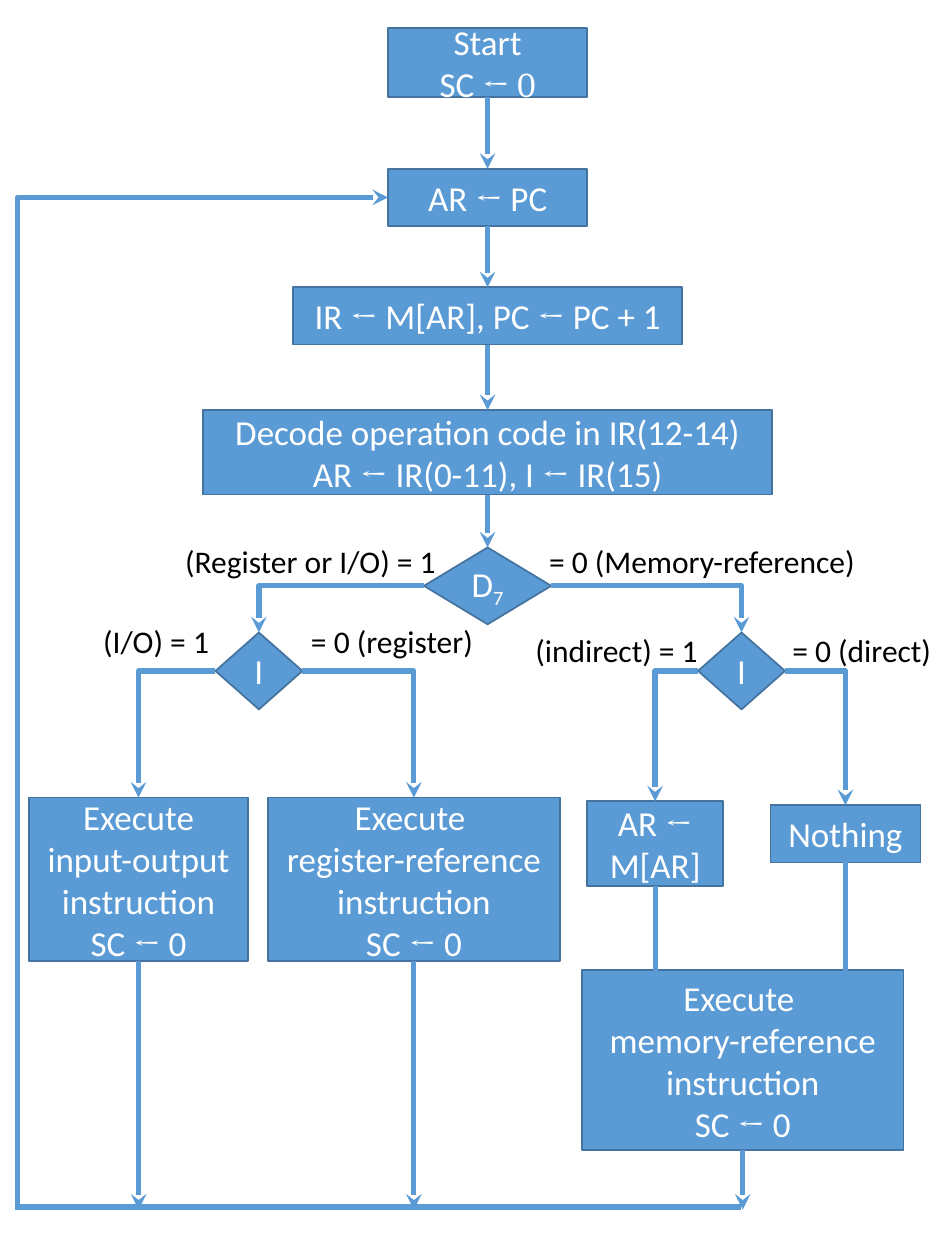
from typing import NamedTuple

from lxml import etree
from pptx import Presentation
from pptx.dml.color import RGBColor
from pptx.enum.shapes import MSO_CONNECTOR, MSO_SHAPE
from pptx.enum.text import MSO_ANCHOR, MSO_AUTO_SIZE, PP_ALIGN
from pptx.oxml.ns import qn
from pptx.util import Inches, Pt

RECTANGLE, DIAMOND = MSO_SHAPE.RECTANGLE, MSO_SHAPE.DIAMOND
STRAIGHT, ELBOW = MSO_CONNECTOR.STRAIGHT, MSO_CONNECTOR.ELBOW
CENTER, MIDDLE = PP_ALIGN.CENTER, MSO_ANCHOR.MIDDLE
FIT_SHAPE = MSO_AUTO_SIZE.SHAPE_TO_FIT_TEXT

BLUE = RGBColor(0x5B, 0x9B, 0xD5)
DARK_BLUE = RGBColor(0x43, 0x73, 0x9E)
WHITE = RGBColor(0xFF, 0xFF, 0xFF)
BLACK = RGBColor(0, 0, 0)
BODY_FONT, ARROW_FONT = "Calibri", "Cambria"

# Grid of 75 columns by 100 rows
SLIDE_WIDTH, SLIDE_HEIGHT = Inches(7.5), Inches(10)
COLUMN, ROW = SLIDE_WIDTH / 75, SLIDE_HEIGHT / 100

# Centre columns of the flow
MAIN, LEFT, RIGHT = 38.7, 20.55, 58.85
INPUT_OUTPUT, REGISTER, INDIRECT, DIRECT = 11, 32.85, 52, 67.1
LOOP_COLUMN, LOOP_ROW, ARROW_END_ROW = 1.4, 95.8, 96
LABEL_HEIGHT = 4


class Run(NamedTuple):
    text: str
    font: str = BODY_FONT
    subscript: bool = False


class Node(NamedTuple):
    center: float
    top: float
    width: float
    height: float
    paragraphs: list[list[Run]]
    kind: int = RECTANGLE

    @property
    def bottom(self) -> float:
        return self.top + self.height

    @property
    def middle(self) -> float:
        return self.top + self.height / 2

    @property
    def left(self) -> float:
        return self.center - self.width / 2

    @property
    def right(self) -> float:
        return self.center + self.width / 2


class Label(NamedTuple):
    left: float
    top: float
    width: float
    text: str


ARROW = Run("←", ARROW_FONT)
ARROW_SPACE = Run("← ", ARROW_FONT)
RESET = [Run("SC "), ARROW, Run(" 0")]


def add_runs(paragraph, runs: list[Run], size: int, color: RGBColor) -> None:
    for item in runs:
        run = paragraph.add_run()
        run.text = item.text
        run.font.name = item.font
        run.font.size = Pt(size)
        run.font.color.rgb = color
        if item.subscript:
            run.font._element.set("baseline", "-25000")


def draw_node(slide, node: Node) -> None:
    shape = slide.shapes.add_shape(
        node.kind, round(node.left * COLUMN), round(node.top * ROW),
        round(node.width * COLUMN), round(node.height * ROW))
    shape.shadow.inherit = False
    shape.fill.solid()
    shape.fill.fore_color.rgb = BLUE
    shape.line.color.rgb = DARK_BLUE
    shape.line.width = Pt(1)
    frame = shape.text_frame
    frame.word_wrap = True
    frame.vertical_anchor = MIDDLE
    for index, runs in enumerate(node.paragraphs):
        paragraph = frame.add_paragraph() if index else frame.paragraphs[0]
        paragraph.alignment = CENTER
        add_runs(paragraph, runs, 20, WHITE)


def draw_line(slide, x1: float, y1: float, x2: float, y2: float,
              kind: int = STRAIGHT, arrow: bool = True):
    connector = slide.shapes.add_connector(
        kind, round(x1 * COLUMN), round(y1 * ROW),
        round(x2 * COLUMN), round(y2 * ROW))
    connector.line.color.rgb = BLUE
    connector.line.width = Pt(3)
    properties = connector._element.spPr
    if kind == ELBOW:
        properties.find(qn("a:prstGeom")).set("prst", "bentConnector2")
    if arrow:
        line = properties.find(qn("a:ln"))
        etree.SubElement(line, qn("a:tailEnd")).set("type", "stealth")
    etree.SubElement(properties, qn("a:effectLst"))
    return connector


def draw_loop(slide, x1: float, y1: float, x2: float, y2: float) -> None:
    """Run up from the first point, then right to the second: a quarter turn."""
    x, y = (x1 + x2) / 2, (y1 + y2) / 2
    half_length, half_depth = (y1 - y2) / 2, (x2 - x1) / 2
    connector = draw_line(slide, x + half_length, y + half_depth,
                          x - half_length, y - half_depth, ELBOW)
    connector._element.spPr.find(qn("a:xfrm")).set("rot", "5400000")


def draw_branches(slide, decision: Node, left: Node, right: Node) -> None:
    for side, target in ((decision.left, left), (decision.right, right)):
        draw_line(slide, side, decision.middle, target.center, target.top, ELBOW)


def draw_label(slide, label: Label) -> None:
    box = slide.shapes.add_textbox(
        round(label.left * COLUMN), round(label.top * ROW),
        round(label.width * COLUMN), round(LABEL_HEIGHT * ROW))
    box.text_frame.word_wrap = False
    box.text_frame.auto_size = FIT_SHAPE
    add_runs(box.text_frame.paragraphs[0], [Run(label.text)], 18, BLACK)


# Steps and decisions
start = Node(MAIN, 2.2, 15.8, 5.5,
             [[Run("Start")], [Run("SC "), Run("← 0", ARROW_FONT)]])
address = Node(MAIN, 13.4, 15.8, 4.55, [[Run("AR "), ARROW_SPACE, Run("PC")]])
fetch = Node(MAIN, 22.8, 30.9, 4.55, [[
    Run("IR "), ARROW_SPACE, Run("M[AR], PC "), ARROW_SPACE, Run("PC + 1")]])
decode = Node(MAIN, 32.55, 45.2, 6.7, [
    [Run("Decode operation code in IR(12-14)")],
    [Run("AR "), ARROW, Run(" IR(0-11), I "), ARROW, Run(" IR(15)")]])
opcode = Node(MAIN, 43.45, 10.1, 6.1,
              [[Run("D"), Run("7", subscript=True)]], DIAMOND)
left_mode, right_mode = (
    Node(center, 50.2, 6.9, 6.1, [[Run("I")]], DIAMOND) for center in (LEFT, RIGHT))
input_output = Node(INPUT_OUTPUT, 63.3, 17.4, 13,
                    [[Run("Execute input-output instruction")], RESET])
register = Node(REGISTER, 63.3, 23.2, 13, [
    [Run("Execute ")], [Run("register-reference instruction")], RESET])
indirect = Node(INDIRECT, 63.6, 10.8, 6.7,
                [[Run("AR "), ARROW_SPACE, Run("M[AR]")]])
direct = Node(DIRECT, 63.9, 11.9, 4.55, [[Run("Nothing")]])
memory = Node(RIGHT + 0.1, 77, 25.5, 14.3, [
    [Run("Execute ")], [Run("memory-reference instruction")], RESET])

MAIN_FLOW = [start, address, fetch, decode, opcode]
NODES = MAIN_FLOW + [left_mode, right_mode, input_output, register,
                     indirect, direct, memory]

LABELS = [
    Label(13.7, 42.5, 22.2, "(Register or I/O) = 1"),
    Label(42.6, 42.5, 26.7, "= 0 (Memory-reference)"),
    Label(7.2, 48.9, 10.5, "(I/O) = 1"),
    Label(23.7, 48.9, 15, "= 0 (register)"),
    Label(41.5, 49.6, 15.1, "(indirect) = 1"),
    Label(61.9, 49.6, 13.2, "= 0 (direct)"),
]


def main() -> None:
    presentation = Presentation()
    presentation.slide_width, presentation.slide_height = SLIDE_WIDTH, SLIDE_HEIGHT
    slide = presentation.slides.add_slide(presentation.slide_layouts[6])

    for node in NODES:
        draw_node(slide, node)

    # Main flow and its branches
    for source, target in zip(MAIN_FLOW, MAIN_FLOW[1:]):
        draw_line(slide, MAIN, source.bottom, MAIN, target.top)
    draw_branches(slide, opcode, left_mode, right_mode)
    draw_branches(slide, left_mode, input_output, register)
    draw_branches(slide, right_mode, indirect, direct)

    # Arrows down to the memory step and to the return line
    for node, end in ((indirect, 79.1), (direct, 78.9), (input_output, ARROW_END_ROW),
                      (register, ARROW_END_ROW), (memory, ARROW_END_ROW)):
        draw_line(slide, node.center, node.bottom, node.center, end)

    # Return to the first fetch step
    draw_line(slide, RIGHT, LOOP_ROW, LOOP_COLUMN, LOOP_ROW, arrow=False)
    draw_loop(slide, LOOP_COLUMN, ARROW_END_ROW, address.left, address.middle)

    for label in LABELS:
        draw_label(slide, label)
    presentation.save("out.pptx")


if __name__ == "__main__":
    main()
